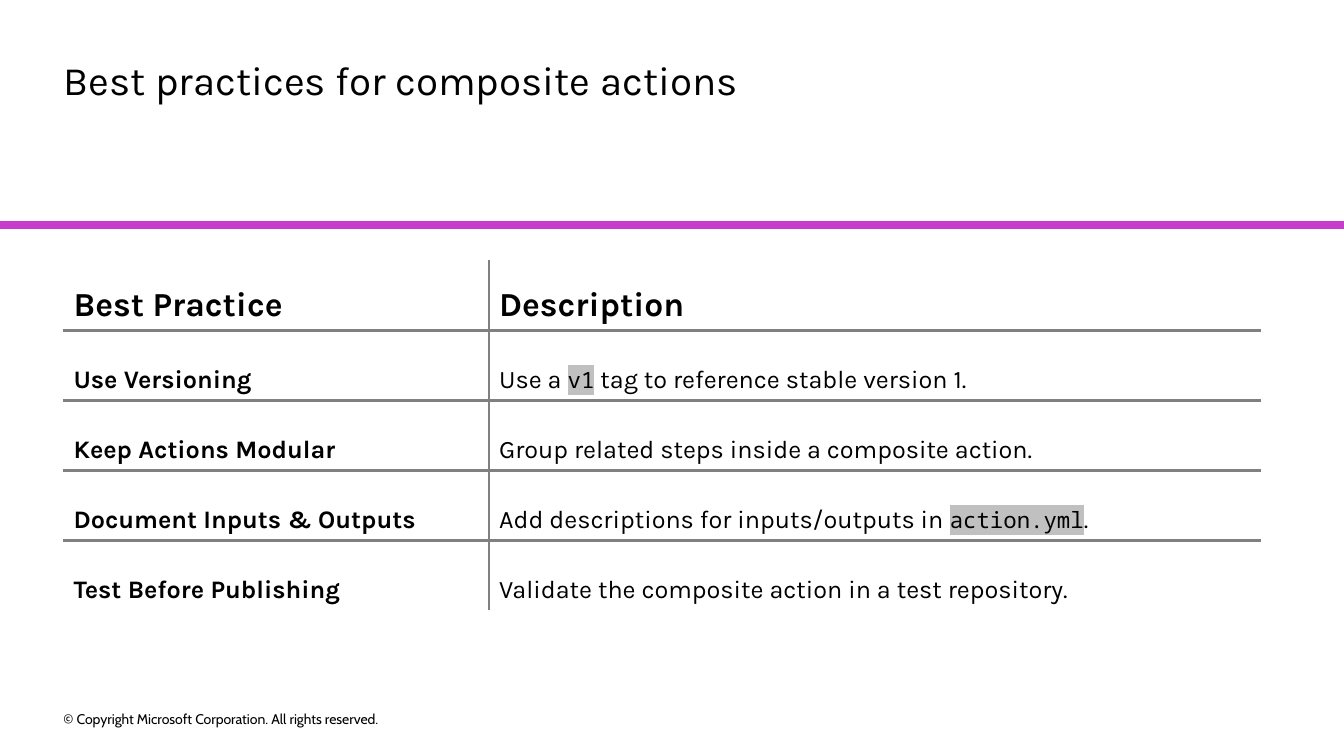
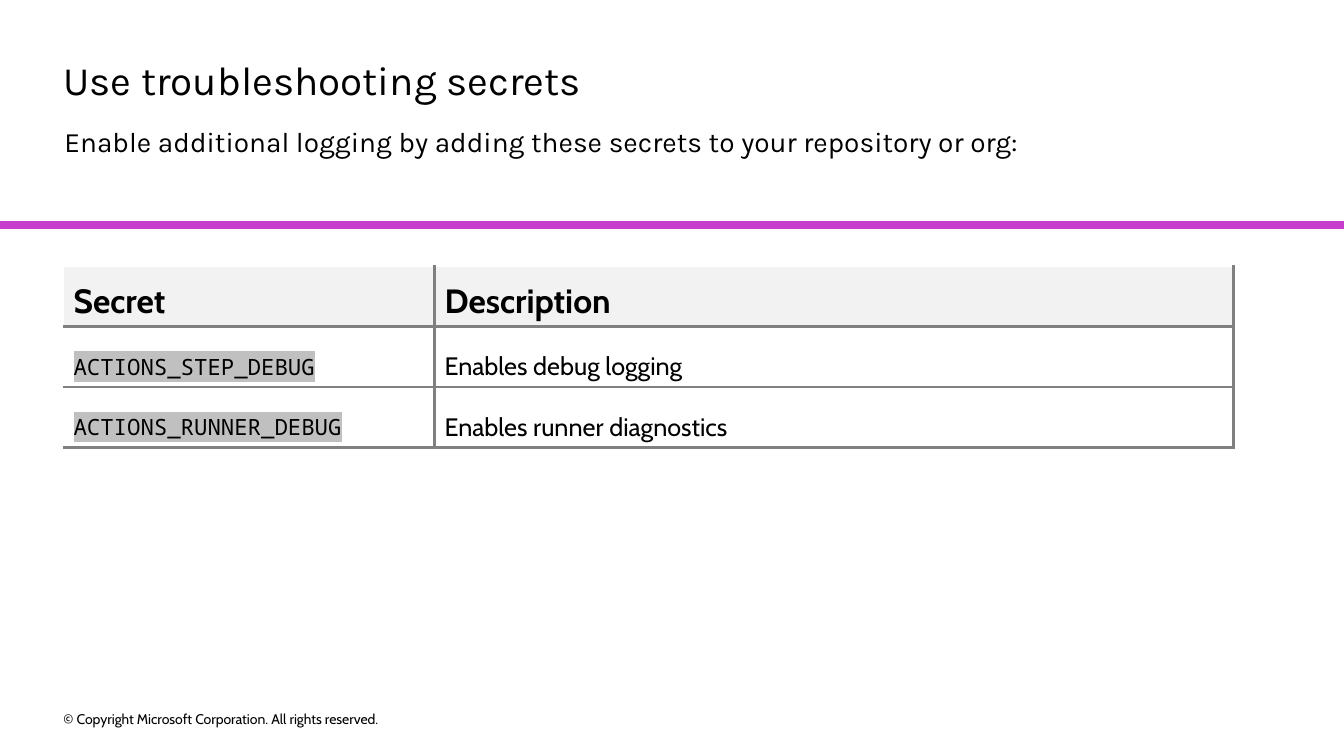
from lxml import etree
from pptx import Presentation
from pptx import util as u
from pptx.dml.color import RGBColor
from pptx.enum import shapes, text
from pptx.oxml.ns import qn

Pt = u.Pt
BLACK, WHITE, GRAY, PALE = "000000", "FFFFFF", "808080", "F2F2F2"
PURPLE, CODE_MARK = "C73ECC", "C0C0C0"
KARLA, CABIN, MONO = "Karla", "Cabin", "Noto Sans Mono"
LEFT = 45.36
COPYRIGHT = "© Copyright Microsoft Corporation. All rights reserved."


def rgb(value):
    return RGBColor.from_string(value)


def add_solid(parent, tag, color):
    etree.SubElement(parent, qn(tag)).append(
        etree.Element(qn("a:srgbClr"), val=color))


def write(p, content, size=18, font=KARLA, color=BLACK, bold=False, mark=None):
    r = p.add_run()
    r.text = content
    f = r.font
    f.size, f.name, f.bold = Pt(size), font, bold
    f.color.rgb = rgb(color)
    if mark:
        highlight = etree.Element(qn("a:highlight"))
        etree.SubElement(highlight, qn("a:srgbClr"), val=mark)
        r._r.rPr.find(qn("a:solidFill")).addnext(highlight)


def write_with_code(p, content, **style):
    """Write text in which backticks enclose code."""
    for i, part in enumerate(content.split("`")):
        if part and i % 2:
            write(p, part, size=16, font=MONO, mark=CODE_MARK)
        elif part:
            write(p, part, **style)


def set_borders(cell, gray_sides):
    """Draw the named sides (of L, R, T, B) in gray and the others in white."""
    tc_pr = cell._tc.get_or_add_tcPr()
    for i, side in enumerate("LRTB"):
        color, width = (GRAY, 2.25) if side in gray_sides else (WHITE, 1)
        ln = etree.Element(qn("a:ln" + side), w=str(Pt(width)))
        add_solid(ln, "a:solidFill", color)
        tc_pr.insert(i, ln)


class Deck:
    def __init__(self):
        self.prs = Presentation()
        self.prs.slide_width, self.prs.slide_height = Pt(960), Pt(540)
        self.s = None

    def slide(self, title):
        """Start a slide with its title, band and footer."""
        self.s = self.prs.slides.add_slide(self.prs.slide_layouts[6])
        self.line(0, 160.6, 960, 160.6, PURPLE, 6)
        self.text(title, LEFT, 46.8, 789, 24.5, size=28.8, spacing=0.9)
        self.text(COPYRIGHT, LEFT, 505.5, 327, 16, size=10, font=CABIN)

    def line(self, x1, y1, x2, y2, color, width):
        c = self.s.shapes.add_connector(
            shapes.MSO_CONNECTOR.STRAIGHT, Pt(x1), Pt(y1), Pt(x2), Pt(y2))
        c.line.color.rgb, c.line.width = rgb(color), Pt(width)
        etree.SubElement(c._element.spPr, qn("a:effectLst"))

    def text(self, content, x, y, w, h, align=None, spacing=None, **style):
        sp = self.s.shapes.add_textbox(Pt(x), Pt(y), Pt(w), Pt(h))
        tf = sp.text_frame
        tf.word_wrap = True
        tf.vertical_anchor = text.MSO_ANCHOR.MIDDLE
        tf.margin_left = tf.margin_right = tf.margin_top = tf.margin_bottom = 0
        p = tf.paragraphs[0]
        p.alignment, p.line_spacing = align, spacing
        write(p, content, **style)

    def table(self, rows, top, widths, row_height, font,
              header_fill=WHITE, outer="", bold_first=False):
        """Add a table with gray inner rules; outer names its gray outer sides."""
        n_rows, n_cols = len(rows), len(widths)
        table = self.s.shapes.add_table(
            n_rows, n_cols, Pt(LEFT), Pt(top),
            Pt(sum(widths)), Pt(row_height * n_rows)).table
        table.first_row = table.horz_banding = False
        for column, width in zip(table.columns, widths):
            column.width = Pt(width)
        for i, row in enumerate(rows):
            for j, content in enumerate(row):
                cell = table.cell(i, j)
                cell.vertical_anchor = text.MSO_ANCHOR.BOTTOM
                cell.fill.solid()
                cell.fill.fore_color.rgb = rgb(WHITE if i else header_fill)
                inner = {"L": j > 0, "R": j < n_cols - 1,
                         "T": i > 0, "B": i < n_rows - 1}
                set_borders(cell, [side for side in inner
                                   if inner[side] or side in outer])
                write_with_code(cell.text_frame.paragraphs[0], content,
                                size=18 if i else 24, font=font,
                                bold=i == 0 or (bold_first and j == 0))


def main():
    deck = Deck()

    deck.slide("Best practices for composite actions")
    deck.table([
        ("Best Practice", "Description"),
        ("Use Versioning", "Use a `v1` tag to reference stable version 1."),
        ("Keep Actions Modular",
         "Group related steps inside a composite action."),
        ("Document Inputs & Outputs",
         "Add descriptions for inputs/outputs in `action.yml`."),
        ("Test Before Publishing",
         "Validate the composite action in a test repository."),
    ], top=186, widths=(304, 551), row_height=50, font=KARLA, bold_first=True)

    deck.slide("Use troubleshooting secrets")
    deck.table([
        ("Secret", "Description"),
        ("`ACTIONS_STEP_DEBUG`", "Enables debug logging"),
        ("`ACTIONS_RUNNER_DEBUG`", "Enables runner diagnostics"),
    ], top=190, widths=(265, 571), row_height=43.2, font=CABIN,
        header_fill=PALE, outer="RB")
    deck.text("Enable additional logging by adding these secrets to your "
              "repository or org:", 46, 81.4, 845, 39,
              align=text.PP_ALIGN.JUSTIFY, size=20)

    deck.prs.save("out.pptx")


if __name__ == "__main__":
    main()
